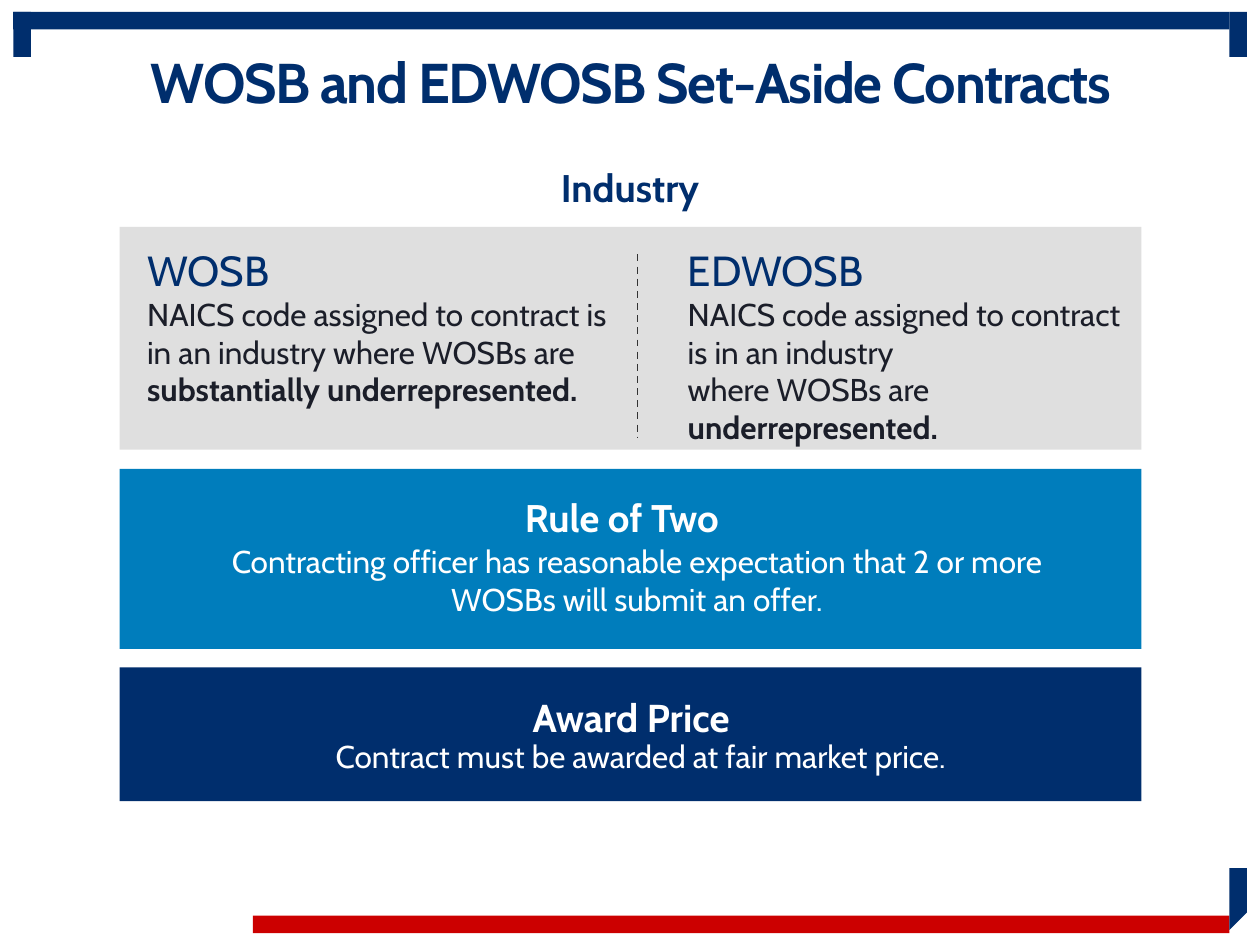
from dataclasses import dataclass

import pptx
import pptx.dml.color
import pptx.enum.dml
import pptx.enum.shapes
import pptx.enum.text
import pptx.util
from pptx.oxml.ns import qn

Pt = pptx.util.Pt
ALIGN = pptx.enum.text.PP_ALIGN
ANCHOR = pptx.enum.text.MSO_ANCHOR

NAVY, BLUE, RED, GREY = "002E6D", "007DBC", "CC0000", "969696"
WHITE, INK, DASH = "FFFFFF", "1B1E29", "333333"
PANEL_X, PANEL_W = 68.4, 583.9
BAR = 10  # thickness of the frame bars


@dataclass
class Box:
    x: float
    y: float
    w: float
    h: float
    fill: str
    opacity: int = 100


@dataclass
class Run:
    text: str
    size: float
    color: str
    bold: bool = False


@dataclass
class Label:
    x: float
    y: float
    w: float
    h: float
    paragraphs: list[list[Run]]
    align: ALIGN = ALIGN.CENTER


def rgb(value: str) -> pptx.dml.color.RGBColor:
    return pptx.dml.color.RGBColor.from_string(value)


def paint(sp, color: str, opacity: int = 100) -> None:
    sp.shadow.inherit = False
    sp.fill.solid()
    sp.fill.fore_color.rgb = rgb(color)
    sp.line.fill.background()
    if opacity < 100:
        clr = sp._element.spPr.find(qn("a:solidFill"))[0]
        alpha = clr.makeelement(qn("a:alpha"), {"val": str(opacity * 1000)})
        clr.append(alpha)


def add_box(s, box: Box) -> None:
    sp = s.shapes.add_shape(pptx.enum.shapes.MSO_SHAPE.RECTANGLE,
                            Pt(box.x), Pt(box.y), Pt(box.w), Pt(box.h))
    paint(sp, box.fill, box.opacity)


def add_run(p, run: Run):
    """Add a run; a newline in its text becomes a line break."""
    for i, line in enumerate(run.text.split("\n")):
        if i:
            p.add_line_break()
        r = p.add_run()
        r.text = line
        formats = {"name": "Cabin", "size": Pt(run.size), "bold": run.bold}
        for key, value in formats.items():
            setattr(r.font, key, value)
        r.font.color.rgb = rgb(run.color)
    return r


def add_label(s, label: Label) -> None:
    sp = s.shapes.add_textbox(Pt(label.x), Pt(label.y), Pt(label.w), Pt(label.h))
    tf = sp.text_frame
    tf.word_wrap = True
    for i, runs in enumerate(label.paragraphs):
        p = tf.add_paragraph() if i else tf.paragraphs[0]
        p.alignment = label.align
        for run in runs:
            add_run(p, run)


def add_title(s, text: str) -> None:
    sp = s.shapes.title
    place = {"left": 50.4, "top": 30.2, "width": 620.6, "height": 36.7}
    for key, value in place.items():
        setattr(sp, key, Pt(value))
    tf = sp.text_frame
    formats = {"word_wrap": True, "vertical_anchor": ANCHOR.MIDDLE,
               "auto_size": pptx.enum.text.MSO_AUTO_SIZE.NONE}
    for key, value in formats.items():
        setattr(tf, key, value)
    p = tf.paragraphs[0]
    p.alignment, p.line_spacing = ALIGN.CENTER, 0.9
    r = add_run(p, Run(text, 32, NAVY, True))
    r.font._element.set("spc", "-80")


def add_divider(s, x: float, top: float, bottom: float) -> None:
    line = s.shapes.add_connector(pptx.enum.shapes.MSO_CONNECTOR.STRAIGHT,
                                  Pt(x), Pt(top), Pt(x), Pt(bottom))
    line.line.color.rgb = rgb(DASH)
    line.line.width = Pt(1)
    line.line.dash_style = pptx.enum.dml.MSO_LINE.DASH
    spPr = line._element.spPr
    spPr.append(spPr.makeelement(qn("a:effectLst"), {}))


def add_corner(s, x: float, top: float, bottom: float) -> None:
    """Draw the lower right bar with its slanted end."""
    fb = s.shapes.build_freeform(Pt(x), Pt(top))
    fb.add_line_segments([(Pt(x + BAR), Pt(top)), (Pt(x + BAR), Pt(bottom - BAR)),
                          (Pt(x), Pt(bottom))], close=True)
    paint(fb.convert_to_shape(), NAVY)


def category(x: float, w: float, name: str, rule: str, emphasis: str) -> Label:
    return Label(x, 136.1, w, 124, [
        [Run(name, 24, NAVY)],
        [Run(rule, 18, INK), Run(emphasis, 18, INK, True)],
    ], ALIGN.LEFT)


FRAME = [
    Box(7.6, 6.8, 695, BAR, NAVY),
    Box(702.5, 6.8, BAR, 25.8, NAVY),
    Box(7.6, 6.8, BAR, 25.8, NAVY),
    Box(144.5, 523.2, 558, BAR, RED),
]

PANELS = [
    Box(PANEL_X, 129.6, PANEL_W, 127.4, GREY, 30),
    Box(PANEL_X, 267.9, PANEL_W, 103, BLUE),
    Box(PANEL_X, 381.4, PANEL_W, 76.4, NAVY),
]

LABELS = [
    Label(267.1, 90, 185.8, 44, [[Run("Industry", 22, NAVY, True)]]),
    category(77, 283.7, "WOSB",
             "NAICS code assigned to contract is in an industry where WOSBs are ",
             "substantially underrepresented."),
    category(385.9, 265.7, "EDWOSB",
             "NAICS code assigned to contract is in an industry\nwhere WOSBs are ",
             "underrepresented."),
    Label(148.3, 278.6, 414, 44, [[Run("Rule of Two", 22, WHITE, True)]]),
    Label(100.1, 306, 527.8, 51, [[Run(
        "Contracting officer has reasonable expectation that 2 or more "
        "WOSBs will submit an offer.", 18, WHITE)]]),
    Label(267.8, 393.1, 185.8, 32, [[Run("Award Price", 22.2, WHITE, True)]]),
    Label(150.5, 417.6, 431.3, 29, [[Run(
        "Contract must be awarded at fair market price.", 18, WHITE)]]),
]


def main() -> None:
    prs = pptx.Presentation()
    prs.slide_width, prs.slide_height = Pt(720), Pt(540)
    s = prs.slides.add_slide(prs.slide_layouts[5])

    # Frame and title
    for box in FRAME:
        add_box(s, box)
    add_corner(s, 702.5, 496.1, 531.4)
    add_title(s, "WOSB and EDWOSB Set-Aside Contracts")

    # Panels and their text
    for box in PANELS:
        add_box(s, box)
    add_divider(s, 364.3, 145.4, 249.8)
    for label in LABELS:
        add_label(s, label)

    prs.save("out.pptx")


if __name__ == "__main__":
    main()
